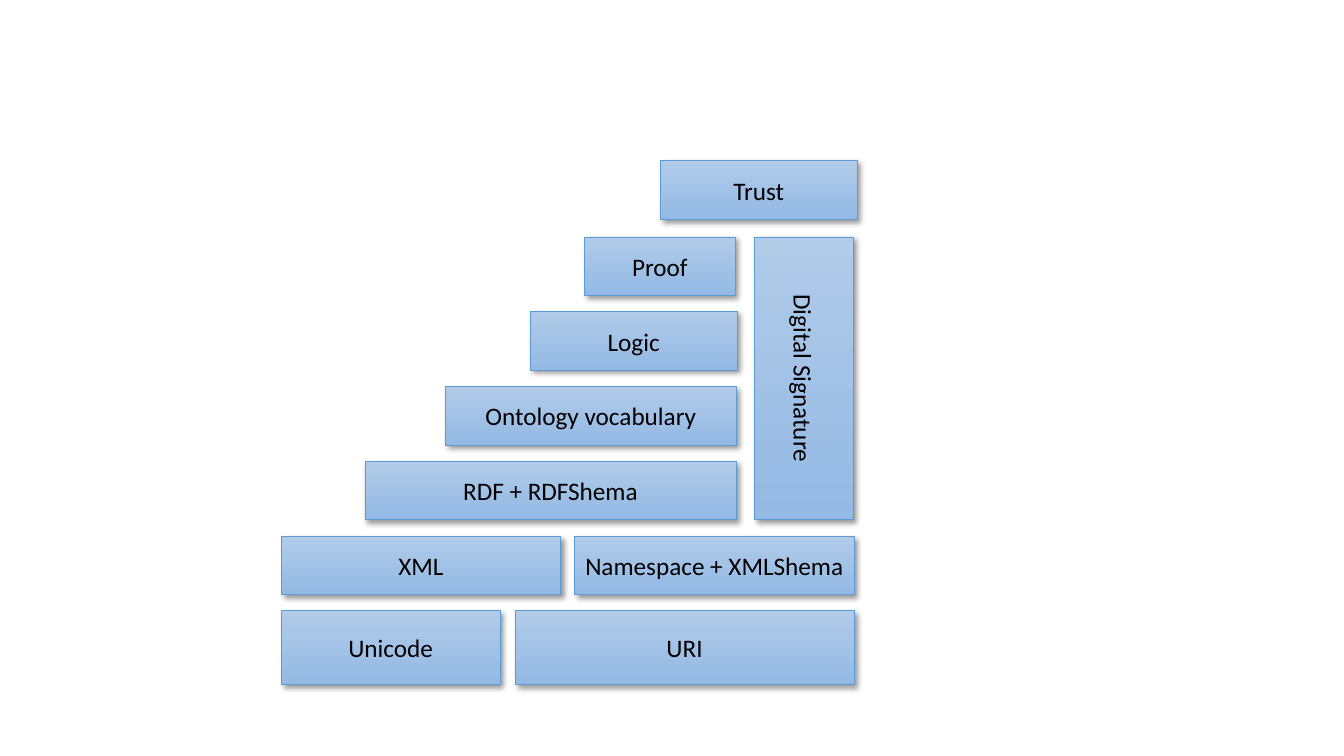
from lxml import etree
from pptx import Presentation
from pptx.dml.color import RGBColor
from pptx.enum.shapes import MSO_SHAPE
from pptx.enum.text import MSO_ANCHOR, PP_ALIGN
from pptx.oxml.ns import qn
from pptx.util import Inches, Pt

RECT = MSO_SHAPE.RECTANGLE
MIDDLE = MSO_ANCHOR.MIDDLE
CENTER = PP_ALIGN.CENTER

COLORS = {"light": "B1CBE9", "deep": "93B9E4", "edge": "5B9BD5", "ink": "000000"}
FONT = {"name": "Calibri", "size": Pt(18)}
FRAME = {"word_wrap": True, "vertical_anchor": MIDDLE,
         "margin_left": Inches(0.05), "margin_right": Inches(0.05)}
SHADOW = {"blurRad": Pt(4), "dist": Pt(3), "dir": 45 * 60000,
          "algn": "tl", "rotWithShape": 0}

FIRST, LAST = 2.35, 6.06
STEP = (LAST - FIRST) / 5
HIGH = 0.58
LAYERS = [
    [("Proof", 5.8, 1.49)],
    [("Logic", 5.26, 2.05)],
    [("Ontology vocabulary", 4.42, 2.88)],
    [("RDF + RDFShema", 3.62, 3.68)],
    [("XML", 2.79, 2.77), ("Namespace + XMLShema", 5.7, 2.77)],
    [("Unicode", 2.79, 2.17), ("URI", 5.11, 3.36)],
]


def color(key):
    return RGBColor.from_string(COLORS[key])


def style(target, values):
    for key, value in values.items():
        setattr(target, key, value)


def add_shadow(shape):
    shape.shadow.inherit = False
    effects = shape._element.spPr.find(qn("a:effectLst"))
    outer = etree.SubElement(effects, qn("a:outerShdw"))
    for key, value in SHADOW.items():
        outer.set(key, str(value))
    tint = etree.SubElement(outer, qn("a:srgbClr"), val=COLORS["ink"])
    etree.SubElement(tint, qn("a:alpha"), val="40000")


def add_block(slide, text, left, top, width, height):
    block = slide.shapes.add_shape(
        RECT, Inches(left), Inches(top), Inches(width), Inches(height))
    block.fill.gradient()
    block.fill.gradient_angle = 270
    for stop, key, place in zip(block.fill.gradient_stops, ("light", "deep"), (0, 1)):
        stop.color.rgb = color(key)
        stop.position = place
    block.line.color.rgb = color("edge")
    block.line.width = Pt(0.5)
    add_shadow(block)
    frame = block.text_frame
    style(frame, FRAME)
    line = frame.paragraphs[0]
    line.alignment = CENTER
    run = line.add_run()
    run.text = text
    style(run.font, FONT)
    run.font.color.rgb = color("ink")
    return block


def add_layers(slide):
    for row, blocks in enumerate(LAYERS):
        height = 0.73 if row == len(LAYERS) - 1 else HIGH
        for text, left, width in blocks:
            add_block(slide, text, left, FIRST + row * STEP, width, height)


def main():
    deck = Presentation()
    deck.slide_width, deck.slide_height = Inches(13.33), Inches(7.5)
    slide = deck.slides.add_slide(deck.slide_layouts[6])
    add_block(slide, "Trust", 6.55, 1.59, 1.95, 0.59)
    add_layers(slide)
    sign = add_block(slide, "Digital Signature", 7.48, FIRST, 0.98, 3 * STEP + HIGH)
    sign.text_frame._txBody.bodyPr.set("vert", "vert")
    deck.save("out.pptx")


main()
